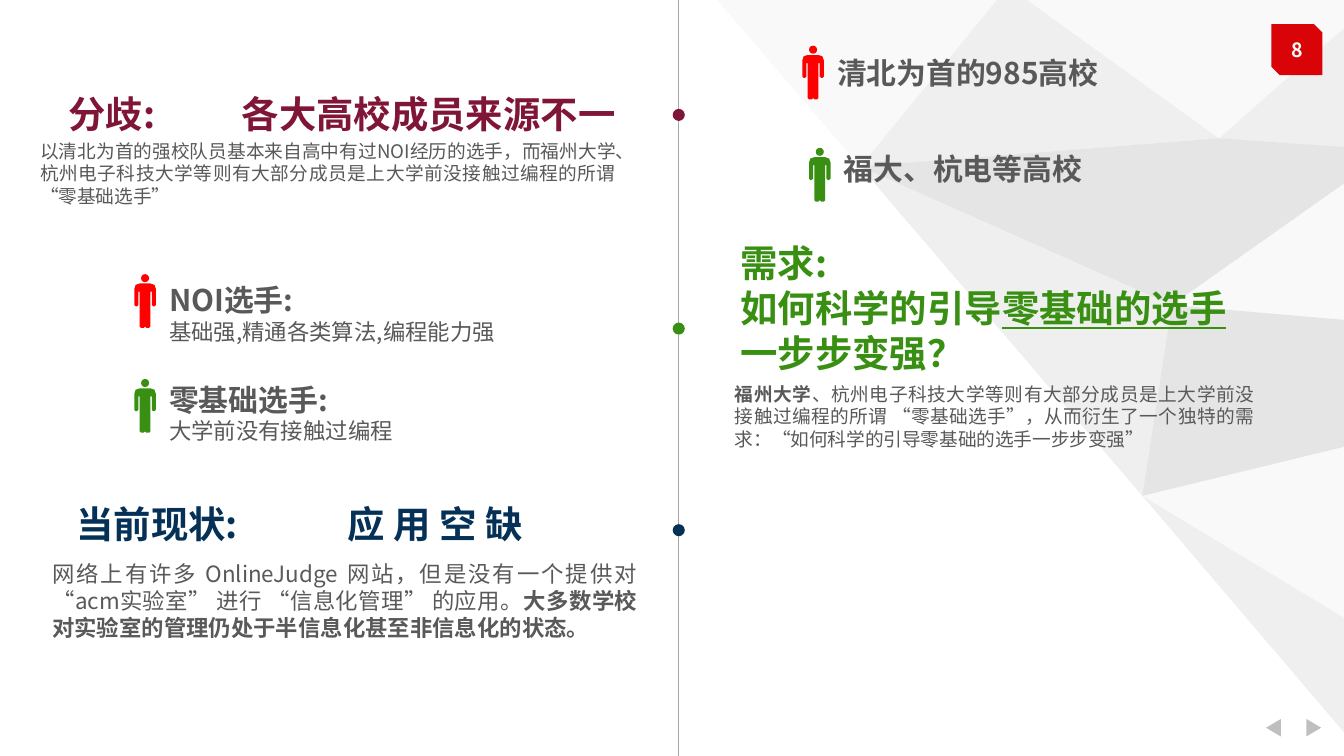
from lxml import etree
from pptx import Presentation
from pptx.dml.color import RGBColor
from pptx.enum.shapes import MSO_CONNECTOR, MSO_SHAPE
from pptx.enum.text import MSO_AUTO_SIZE, PP_ALIGN
from pptx.oxml.ns import qn
from pptx.util import Inches, Pt

FONT = "Noto Sans CJK SC"
C = {"wine": "801637", "green": "388F12", "navy": "063157", "red": "FF0000",
     "badge": "D80407", "body": "595959", "white": "FFFFFF", "rule": "A6A6A6",
     "light": "F2F2F2", "mid": "D9D9D9", "dark": "BFBFBF"}
RIGHT_HALF = [(0.04, 0), (0.07, 0.01), (0.08, 0.04), (0.08, 0.16), (0.07, 0.17),
              (0.06, 0.17), (0.05, 0.16), (0.05, 0.06), (0.04, 0.06),
              (0.04, 0.32), (0.03, 0.33), (0.01, 0.33), (0, 0.32), (0, 0.17)]
BODY_SILHOUETTE = RIGHT_HALF + [(-x, y) for x, y in reversed(RIGHT_HALF)]


def paint(s, color, opacity=None):
    s.shadow.inherit = False
    s.fill.solid()
    s.fill.fore_color.rgb = RGBColor.from_string(C[color])
    s.line.fill.background()
    if opacity:
        clr = s._element.spPr.find(".//" + qn("a:srgbClr"))
        etree.SubElement(clr, qn("a:alpha"), val=str(opacity * 1000))
    return s


def add_preset(shapes, kind, x, y, w, h, color):
    s = shapes.add_shape(kind, Inches(x), Inches(y), Inches(w), Inches(h))
    return paint(s, color)


def add_polygon(shapes, points, color, opacity=None):
    pts = [(Inches(x), Inches(y)) for x, y in points]
    builder = shapes.build_freeform(*pts[0])
    builder.add_line_segments(pts[1:], close=True)
    return paint(builder.convert_to_shape(), color, opacity)


def add_text(shapes, x, y, w, h, paragraphs, align=PP_ALIGN.LEFT, tab=None, wrap=True):
    """Each paragraph is a list of runs: (text, size, color, bold[, underline])."""
    s = shapes.add_textbox(Inches(x), Inches(y), Inches(w), Inches(h))
    tf = s.text_frame
    tf.word_wrap = wrap
    tf.auto_size = MSO_AUTO_SIZE.SHAPE_TO_FIT_TEXT
    for i, runs in enumerate(paragraphs):
        p = tf.paragraphs[0] if i == 0 else tf.add_paragraph()
        p.alignment = align
        if tab:
            tabs = etree.SubElement(p._p.get_or_add_pPr(), qn("a:tabLst"))
            etree.SubElement(tabs, qn("a:tab"), pos=str(Inches(tab)), algn="l")
        for text, size, color, bold, *underline in runs:
            r = p.add_run()
            r.text = text
            r.font.size = Pt(size)
            r.font.bold = bold
            r.font.underline = bool(underline)
            r.font.color.rgb = RGBColor.from_string(C[color])
            r.font.name = FONT
            rpr = r._r.get_or_add_rPr()
            rpr.set("lang", "zh-CN")
            etree.SubElement(rpr, qn("a:ea"), typeface=FONT)


def add_facets(shapes):
    """Translucent facets that bleed past the slide edge."""
    top, peak, left = (7.5, -0.1), (9.07, 1.03), (6.4, 1.24)
    centre, low = (8.72, 2.27), (8.5, 3.69)
    corner, r1, r2, r3, r4, r5 = [(10.35, y) for y in (-0.1, 1.12, 2.41, 3.24, 4.81, 5.86)]
    facets = [("light", peak, top, corner), ("mid", peak, corner, r1),
              ("mid", top, peak, left), ("dark", left, peak, r1, centre),
              ("mid", left, centre, low), ("light", centre, r1, r2),
              ("dark", centre, r2, r3, low), ("light", low, r3, r4),
              ("mid", low, r4, r5), ("light", top, left, (5.25, -0.1))]
    for color, *points in facets:
        add_polygon(shapes, points, color, 40)


def add_page_controls(shapes, number):
    for x, angle in ((9.71, 90), (9.41, 270)):
        s = add_preset(shapes, MSO_SHAPE.ISOSCELES_TRIANGLE, x, 5.36, 0.13, 0.11, "dark")
        s.rotation = angle
    add_preset(shapes, MSO_SHAPE.SNIP_2_DIAG_RECTANGLE, 9.46, 0.18, 0.38, 0.38, "badge")
    add_text(shapes, 9.46, 0.23, 0.38, 0.28, [[(number, 10.5, "white", True)]],
             PP_ALIGN.CENTER, wrap=False)


def add_timeline(shapes, x, top, bottom, dots, size=0.09):
    """Vertical rule, broken by a dot at each height given."""
    starts = [top] + [y + size for y, _ in dots]
    ends = [y for y, _ in dots] + [bottom]
    for y1, y2 in zip(starts, ends):
        s = shapes.add_connector(MSO_CONNECTOR.STRAIGHT, Inches(x), Inches(y1),
                                 Inches(x), Inches(y2))
        s.line.color.rgb = RGBColor.from_string(C["rule"])
        s.line.width = Pt(0.75)
        etree.SubElement(s._element.spPr, qn("a:effectLst"))
    for y, color in dots:
        add_preset(shapes, MSO_SHAPE.OVAL, x - size / 2, y, size, size, color)


def add_person(shapes, x, y, color, text_dy, w, title, detail=None):
    """Figure with its head at the top of (x, y) and a label on its right."""
    add_polygon(shapes, [(x + 0.08 + dx, y + 0.07 + dy) for dx, dy in BODY_SILHOUETTE], color)
    add_preset(shapes, MSO_SHAPE.OVAL, x + 0.05, y, 0.06, 0.06, color)
    paragraphs = [[(title, 16, "body", True)]]
    if detail:
        paragraphs.append([(detail, 12, "body", False)])
    add_text(shapes, x + 0.16, y + text_dy, w, 0.57 if detail else 0.37, paragraphs)


def add_heading(shapes, x, y, w, text, color, tab):
    add_text(shapes, x, y, w, 0.44, [[(text, 20, color, True)]], tab=tab)


def add_body(shapes, x, y, w, h, *runs):
    add_text(shapes, x, y, w, h, [runs], PP_ALIGN.JUSTIFY)


def add_left_column(shapes):
    # Difference between teams
    add_heading(shapes, 0.41, 0.63, 4.27, "分歧:\t各大高校成员来源不一", "wine", 1.29)
    add_body(shapes, 0.2, 0.99, 4.48, 0.6,
             ("以清北为首的强校队员基本来自高中有过NOI经历的选手，而福州大学、杭州电子科技大学等"
              "则有大部分成员是上大学前没接触过编程的所谓 “零基础选手”", 10, "body", False))
    # Kinds of contestant
    add_person(shapes, 1, 2.04, "red", 0.01, 2.93, "NOI选手:", "基础强,精通各类算法,编程能力强")
    add_person(shapes, 1, 2.82, "green", -0.03, 2.21, "零基础选手:", "大学前没有接触过编程")
    # Current state
    add_heading(shapes, 0.47, 3.68, 3.53, "当前现状:\t应 用 空 缺", "navy", 2.02)
    add_body(shapes, 0.29, 4.12, 4.55, 0.71,
             ("网络上有许多 OnlineJudge 网站，但是没有一个提供对 “acm实验室” 进行 “信息化管理” 的应用。",
              12, "body", False),
             ("大多数学校对实验室的管理仍处于半信息化甚至非信息化的状态。", 12, "body", True))


def add_right_column(shapes):
    # Kinds of university
    add_person(shapes, 5.97, 0.34, "red", 0.02, 2.93, "清北为首的985高校")
    add_person(shapes, 6.02, 1.1, "green", -0.03, 2.21, "福大、杭电等高校")
    # Need
    add_text(shapes, 5.41, 1.74, 3.86, 1.11, [
        [("需求:", 20, "green", True)],
        [("如何科学的引导", 20, "green", True),
         ("零基础的选手", 20, "green", True, True),
         ("一步步变强？", 20, "green", True)]])
    add_body(shapes, 5.37, 2.8, 4.06, 0.6,
             ("福州大学", 10, "body", True),
             ("、杭州电子科技大学等则有大部分成员是上大学前没接触过编程的所谓 “零基础选手”，"
              "从而衍生了一个独特的需求：“如何科学的引导零基础的选手一步步变强”", 10, "body", False))


def main():
    prs = Presentation()
    prs.slide_width = Inches(10)
    prs.slide_height = prs.slide_width * 9 // 16
    shapes = prs.slides.add_slide(prs.slide_layouts[6]).shapes
    add_facets(shapes)
    add_page_controls(shapes, "8")
    add_timeline(shapes, 5.05, -0.42, 5.7, [(0.81, "wine"), (2.4, "green"), (3.9, "navy")])
    add_left_column(shapes)
    add_right_column(shapes)
    prs.save("out.pptx")


if __name__ == "__main__":
    main()
